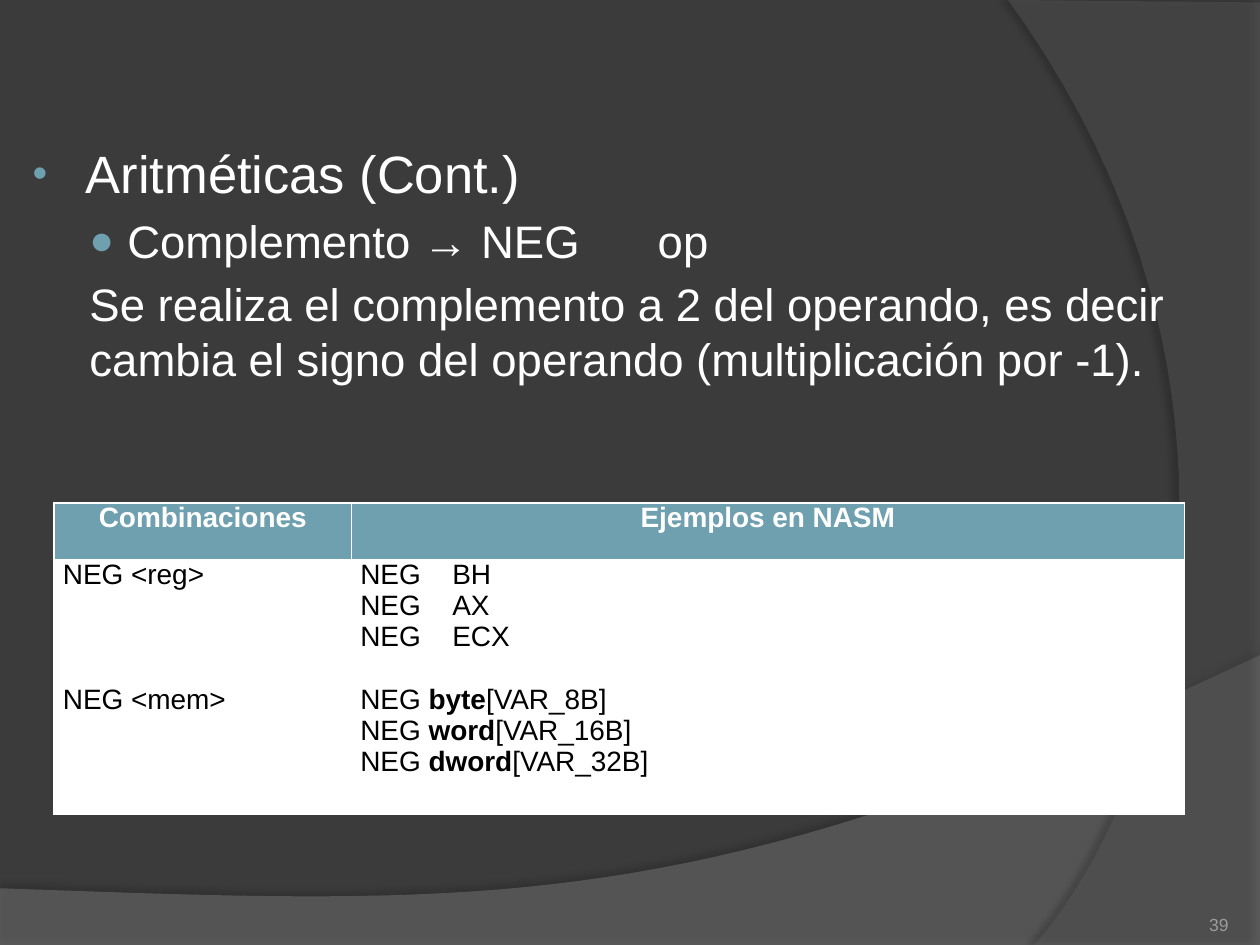
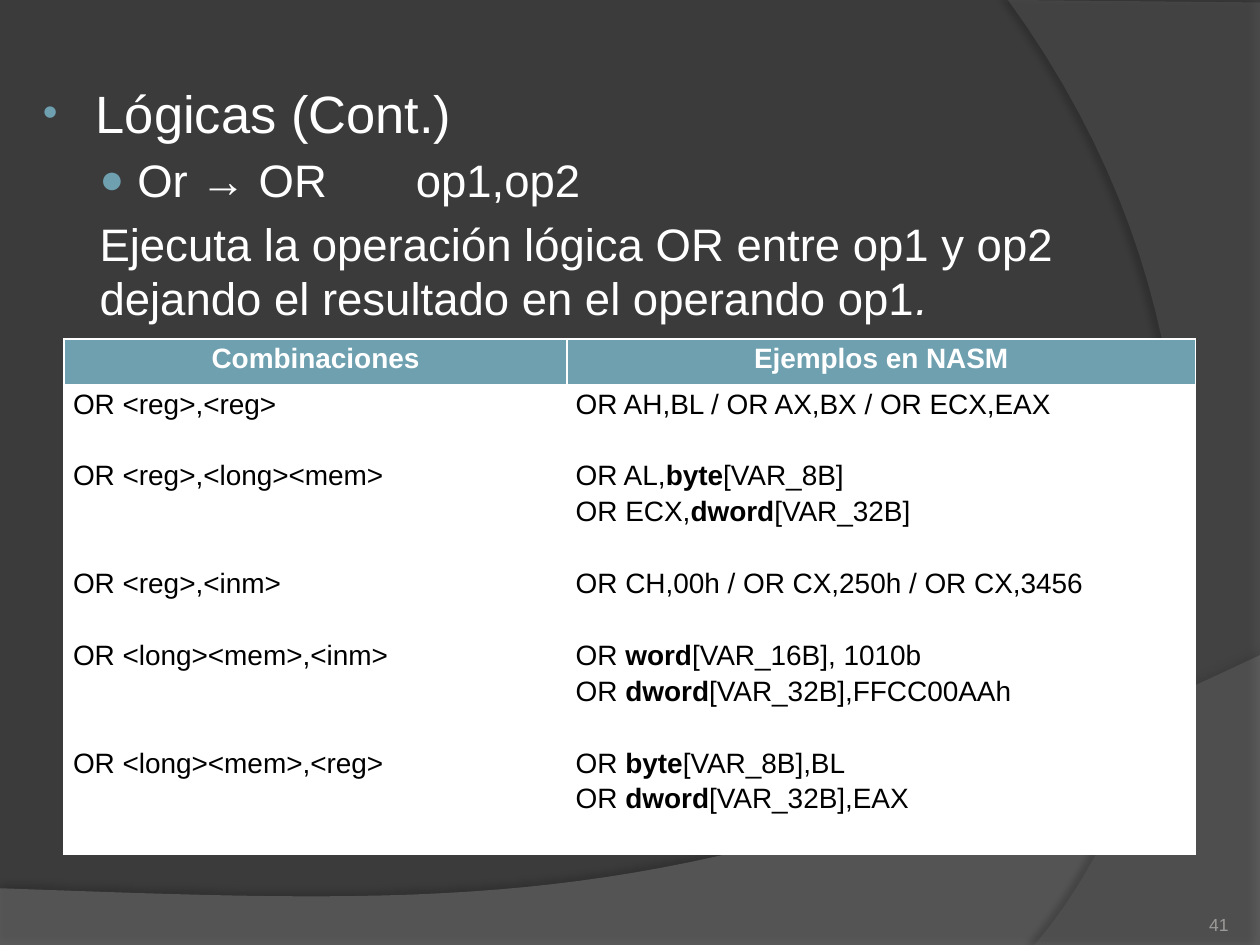
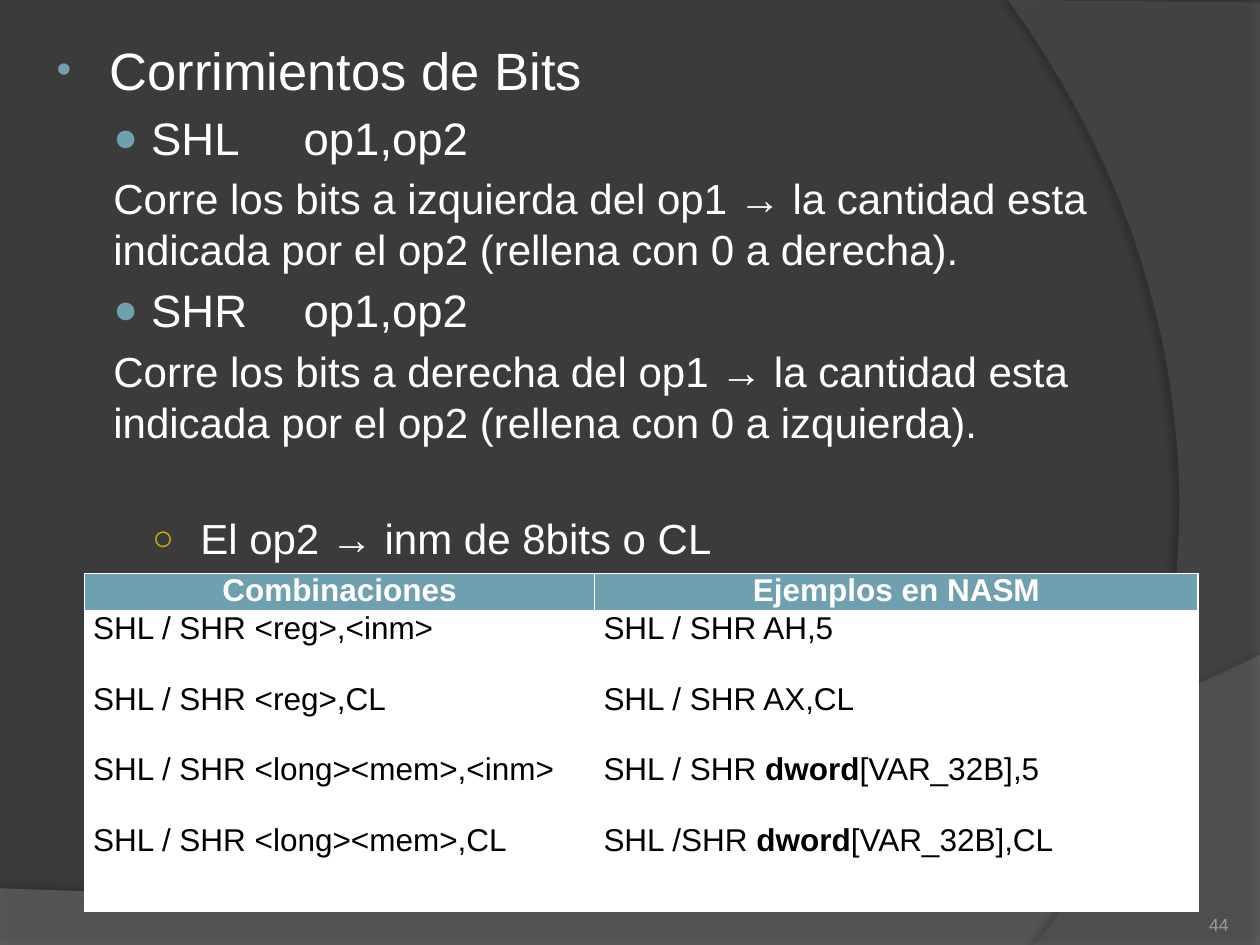
from dataclasses import dataclass

from lxml import etree
from pptx import Presentation
from pptx.dml.color import RGBColor
from pptx.enum.text import MSO_ANCHOR, MSO_AUTO_SIZE, PP_ALIGN
from pptx.oxml.ns import qn
from pptx.util import Inches, Pt

LEFT, CENTER, RIGHT = PP_ALIGN.LEFT, PP_ALIGN.CENTER, PP_ALIGN.RIGHT
BOTTOM = MSO_ANCHOR.BOTTOM
NO_FIT = MSO_AUTO_SIZE.NONE


@dataclass(frozen=True)
class Theme:
    font: str = "Arial"
    back: str = "3B3B3B"
    wave: str = "7F7F7F"
    arc: str = "5E5E5E"
    shade: str = "000000"
    light: str = "FFFFFF"
    dark: str = "000000"
    accent: str = "6EA0B0"
    gold: str = "CCAF0A"
    muted: str = "9D9B9A"
    heading: int = 30
    item: int = 26
    detail: int = 24
    number: int = 10


THEME = Theme()
UNIT = Inches(0.1)
COLUMNS, ROWS = 100, 75
LINE_RATIO = 1.117
BODY_GAP = 5
CURVE_STEPS = 40


def add_node(parent, tag, **attributes):
    return etree.SubElement(parent, qn(tag), {k: str(v) for k, v in attributes.items()})


def write_text(frame, text, size, color=THEME.light, align=LEFT, bold=False, emphasis="bold",
               level=0, indent=(0, 0), bullet=None, tab=10, before=0, spacing=1.0):
    paragraph = frame.paragraphs[0]
    if paragraph.runs:
        paragraph = frame.add_paragraph()
    properties = paragraph._p.get_or_add_pPr()
    properties.set("marL", str(int(indent[0] * UNIT)))
    properties.set("indent", str(int(indent[1] * UNIT)))
    properties.set("defTabSz", str(int(tab * UNIT)))
    if bullet:
        mark, mark_color, percent = bullet
        add_node(add_node(properties, "a:buClr"), "a:srgbClr", val=mark_color)
        add_node(properties, "a:buSzPct", val=percent * 1000)
        add_node(properties, "a:buFont", typeface=THEME.font)
        add_node(properties, "a:buChar", char=mark)
    else:
        add_node(properties, "a:buNone")
    paragraph.level = level
    paragraph.alignment = align
    paragraph.line_spacing = spacing
    paragraph.space_before = Pt(before)
    for position, piece in enumerate(text.split("**")):
        if piece:
            run = paragraph.add_run()
            run.text = piece
            run.font.name = THEME.font
            run.font.size = Pt(size)
            run.font.color.rgb = RGBColor.from_string(color)
            run.font.bold = bold
            if position % 2:
                setattr(run.font, emphasis, True)


HEADING = dict(size=THEME.heading, indent=(4.6, -4.2), bullet=("•", THEME.accent, 80))
ITEM = dict(size=THEME.item, level=1, indent=(7.9, -3), bullet=("●", THEME.accent, 90), before=BODY_GAP)
REMARK = dict(size=THEME.item, level=1, indent=(4.9, 0), before=BODY_GAP, emphasis="italic")
DETAIL = REMARK | dict(size=THEME.detail)
OPERAND = dict(size=THEME.detail, level=2, indent=(11.8, -3.8), bullet=("○", THEME.gold, 85), before=38)

LESSONS = [
    dict(
        number="39", body=(1.2, 10.7, 96.1, 57.8),
        lines=[
            ("Aritméticas (Cont.)", HEADING),
            ("Complemento → NEG\top", ITEM),
            ("Se realiza el complemento a 2 del operando, es decir cambia el signo del operando "
             "(multiplicación por -1).", REMARK),
        ],
        corner=(4.3, 39.9), widths=(23.6, 66.1), heights=(4.5, 20.2), size=16, spacing=1.0,
        combinations=[
            ("NEG <reg>", ["NEG\tBH", "NEG\tAX", "NEG\tECX"]),
            ("NEG <mem>", ["NEG **byte**[VAR_8B]", "NEG **word**[VAR_16B]", "NEG **dword**[VAR_32B]"]),
        ],
    ),
    dict(
        number="41", body=(2, 5.9, 96.1, 47.2),
        lines=[
            ("Lógicas (Cont.)", HEADING),
            ("Or → OR\top1,op2", ITEM),
            ("Ejecuta la operación lógica OR entre op1 y op2 dejando el resultado en el operando "
             "op1**.**", REMARK),
        ],
        corner=(5.1, 26.9), widths=(39.9, 49.9), heights=(3.6, 37.3), size=16, spacing=1.15,
        combinations=[
            ("OR <reg>,<reg>", ["OR AH,BL / OR AX,BX / OR ECX,EAX"]),
            ("OR <reg>,<long><mem>", ["OR AL,**byte**[VAR_8B]", "OR ECX,**dword**[VAR_32B]"]),
            ("OR <reg>,<inm>", ["OR CH,00h / OR CX,250h / OR CX,3456"]),
            ("OR <long><mem>,<inm>", ["OR **word**[VAR_16B], 1010b", "OR **dword**[VAR_32B],FFCC00AAh"]),
            ("OR <long><mem>,<reg>", ["OR **byte**[VAR_8B],BL", "OR **dword**[VAR_32B],EAX"]),
        ],
    ),
    dict(
        number="44", body=(3.1, 2.5, 92.9, 67.7),
        lines=[
            ("Corrimientos de Bits", HEADING),
            ("SHL\top1,op2", ITEM),
            ("Corre los bits a izquierda del op1 → la cantidad esta indicada por el op2 "
             "(rellena con 0 a derecha).", DETAIL),
            ("SHR\top1,op2", ITEM),
            ("Corre los bits a derecha del op1 → la cantidad esta indicada por el op2 "
             "(rellena con 0 a izquierda).", DETAIL),
            ("El op2 → inm de 8bits o CL", OPERAND),
        ],
        corner=(6.7, 45.5), widths=(40.5, 47.9), heights=(3, 23.8), size=18, spacing=1.0,
        combinations=[
            ("SHL / SHR <reg>,<inm>", ["SHL / SHR AH,5"]),
            ("SHL / SHR <reg>,CL", ["SHL / SHR AX,CL"]),
            ("SHL / SHR <long><mem>,<inm>", ["SHL / SHR **dword**[VAR_32B],5"]),
            ("SHL / SHR <long><mem>,CL", ["SHL /SHR **dword**[VAR_32B],CL"]),
        ],
    ),
]

BANDS = [
    dict(corners=[(0, 70.5), (0, 75), (100, 75)],
         curve=[(100, 52), (55.9, 72.9), (39.1, 71.9), (0, 70.5)],
         color=THEME.wave, opacity=45, shade=35, distance=3.5, direction=270),
    dict(corners=[(80, 0), (100, 0.2), (100, 75)],
         curve=[(82.1, 75), (93.5, 61.9), (101.8, 30), (80, 0)],
         color=THEME.arc, opacity=40, shade=45, distance=4, direction=180),
]

deck = Presentation()
deck.slide_width, deck.slide_height = COLUMNS * UNIT, ROWS * UNIT
layout = deck.slide_layouts[1]
layout.background.fill.solid()
layout.background.fill.fore_color.rgb = RGBColor.from_string(THEME.back)
slides = [deck.slides.add_slide(layout) for lesson in LESSONS]

for depth, band in enumerate(BANDS):
    outline = list(band["corners"])
    for step in range(CURVE_STEPS + 1):
        t = step / CURVE_STEPS
        weights = ((1 - t) ** 3, 3 * t * (1 - t) ** 2, 3 * t ** 2 * (1 - t), t ** 3)
        outline.append(tuple(sum(w * p[axis] for w, p in zip(weights, band["curve"])) for axis in (0, 1)))
    start, *rest = [(int(x * UNIT), int(y * UNIT)) for x, y in outline]
    builder = slides[0].shapes.build_freeform(*start)
    builder.add_line_segments(rest, close=True)
    backdrop = builder.convert_to_shape()
    backdrop.line.fill.background()
    backdrop.fill.solid()
    backdrop.fill.fore_color.rgb = RGBColor.from_string(band["color"])
    backdrop.shadow.inherit = False
    properties = backdrop.element.spPr
    add_node(next(properties.iter(qn("a:srgbClr"))), "a:alpha", val=band["opacity"] * 1000)
    shadow = add_node(properties.find(qn("a:effectLst")), "a:outerShdw", blurRad=Pt(4),
                      dist=Pt(band["distance"]), dir=band["direction"] * 60000, algn="ctr", rotWithShape=0)
    add_node(add_node(shadow, "a:srgbClr", val=THEME.shade), "a:alpha", val=band["shade"] * 1000)
    layout.shapes.element.insert(2 + depth, backdrop.element)

for slide, lesson in zip(slides, LESSONS):
    empty_title = slide.shapes.title.element
    empty_title.getparent().remove(empty_title)

    body = slide.placeholders[1]
    body.left, body.top, body.width, body.height = (int(n * UNIT) for n in lesson["body"])
    body.text_frame.auto_size = NO_FIT
    for text, style in lesson["lines"]:
        write_text(body.text_frame, text, **style)

    page = slide.shapes.add_textbox(*(int(n * UNIT) for n in (89.2, 70.2, 8.3, 4))).text_frame
    page.word_wrap = True
    page.vertical_anchor = BOTTOM
    page.margin_left = page.margin_top = page.margin_right = page.margin_bottom = 0
    write_text(page, lesson["number"], THEME.number, color=THEME.muted, align=RIGHT)

    area = (*lesson["corner"], sum(lesson["widths"]), sum(lesson["heights"]))
    table = slide.shapes.add_table(2, 2, *(int(n * UNIT) for n in area)).table
    table.horz_banding = False
    for column, width in zip(table.columns, lesson["widths"]):
        column.width = int(width * UNIT)
    for row, height in zip(table.rows, lesson["heights"]):
        row.height = int(height * UNIT)
    for index, cell in enumerate(table.iter_cells()):
        cell.margin_left = cell.margin_right = int(0.7 * UNIT)
        cell.margin_top = cell.margin_bottom = 0
        for side in "LRTB":
            border = add_node(cell._tc.get_or_add_tcPr(), f"a:ln{side}", w=Pt(1))
            add_node(add_node(border, "a:solidFill"), "a:srgbClr", val=THEME.light)
        cell.fill.solid()
        cell.fill.fore_color.rgb = RGBColor.from_string(THEME.accent if index < 2 else THEME.light)

    size, spacing = lesson["size"], lesson["spacing"]
    line = round(size * LINE_RATIO * spacing, 1)
    for column, header in enumerate(("Combinaciones", "Ejemplos en NASM")):
        write_text(table.cell(0, column).text_frame, header, size, align=CENTER, bold=True, spacing=spacing)
    skipped = 0
    for combination, examples in lesson["combinations"]:
        write_text(table.cell(1, 0).text_frame, combination, size, color=THEME.dark,
                   before=skipped * line, spacing=spacing)
        for order, example in enumerate(examples):
            write_text(table.cell(1, 1).text_frame, example, size, color=THEME.dark, tab=7.3,
                       before=line if skipped and order == 0 else 0, spacing=spacing)
        skipped = len(examples)

deck.save("out.pptx")
